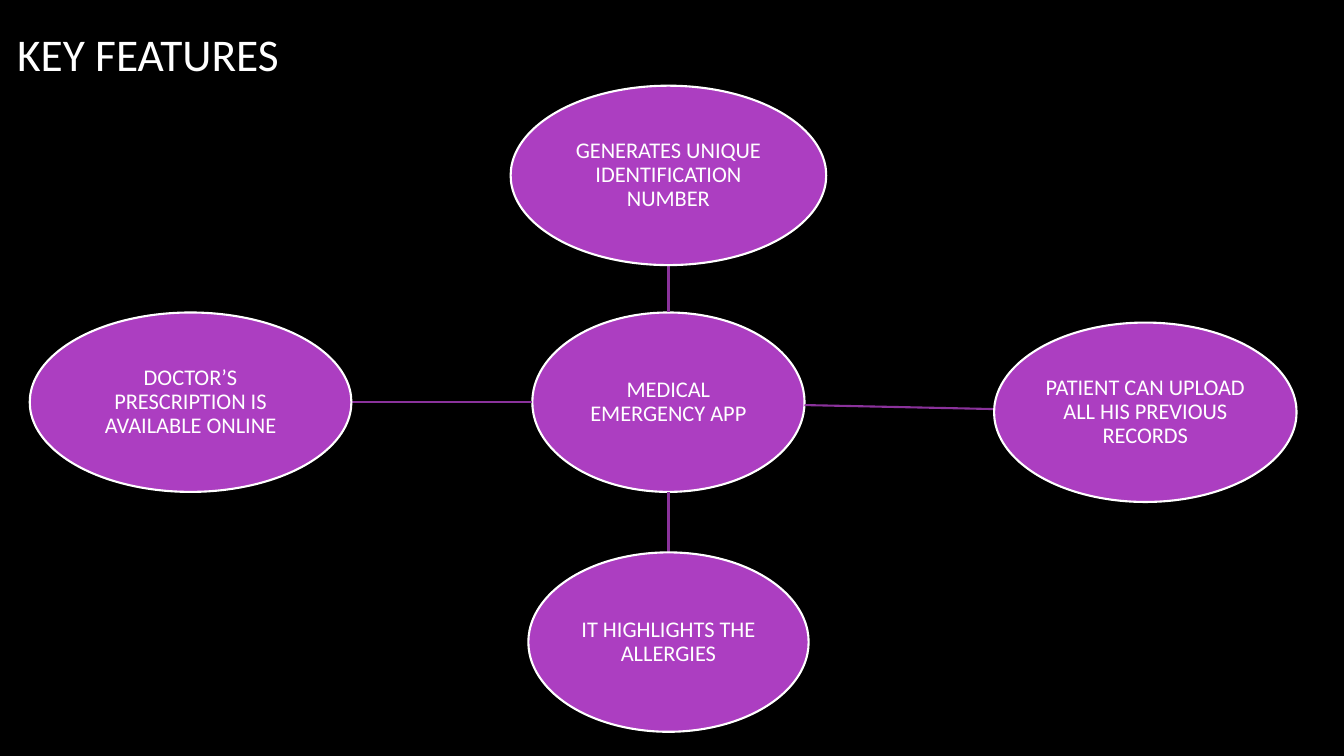
"""Build the key features slide: a hub ellipse linked to four features."""
from math import hypot

from lxml.etree import SubElement
from pptx import Presentation
from pptx.dml.color import RGBColor
from pptx.enum.shapes import MSO_CONNECTOR, MSO_SHAPE
from pptx.enum.text import MSO_ANCHOR, MSO_AUTO_SIZE, PP_ALIGN
from pptx.oxml.ns import qn
from pptx.util import Inches, Pt

TITLE = "KEY FEATURES"
HUB = ("MEDICAL EMERGENCY APP", 6.63, 3.99, 2.7)
FEATURES = [
    ("GENERATES UNIQUE IDENTIFICATION NUMBER", 6.63, 1.74, 3.13),
    ("PATIENT CAN UPLOAD ALL HIS PREVIOUS RECORDS", 11.36, 4.09, 3.0),
    ("IT HIGHLIGHTS THE ALLERGIES", 6.63, 6.37, 2.78),
    ("DOCTOR’S PRESCRIPTION IS AVAILABLE ONLINE", 1.89, 3.99, 3.19),
]
ELLIPSE_HEIGHT = 1.78
FONT = "Calibri"
COLORS = {"background": "000000", "text": "FFFFFF", "ellipse": "AC3EC1",
          "outline": "FFFFFF", "link": "8A329B"}


def color(name):
    return RGBColor.from_string(COLORS[name])


def format_text(frame, size, align):
    frame.word_wrap = True
    frame.auto_size = MSO_AUTO_SIZE.NONE
    frame.vertical_anchor = MSO_ANCHOR.MIDDLE
    paragraph = frame.paragraphs[0]
    paragraph.alignment = align
    paragraph.line_spacing = 0.9
    font = paragraph.runs[0].font
    font.name, font.size = FONT, Pt(size)
    font.color.rgb = color("text")


def add_ellipse(slide, node):
    label, x, y, width = node
    ellipse = slide.shapes.add_shape(
        MSO_SHAPE.OVAL, Inches(x - width / 2), Inches(y - ELLIPSE_HEIGHT / 2),
        Inches(width), Inches(ELLIPSE_HEIGHT))
    ellipse.shadow.inherit = False
    ellipse.fill.solid()
    ellipse.fill.fore_color.rgb = color("ellipse")
    ellipse.line.color.rgb = color("outline")
    ellipse.line.width = Pt(1.5)
    frame = ellipse.text_frame
    frame.text = label
    frame.margin_left = frame.margin_right = Inches(0.01)
    frame.margin_top = frame.margin_bottom = Inches(0.01)
    format_text(frame, 16, PP_ALIGN.CENTER)


def rim_point(node, target):
    """Return where the line from node's centre to target's crosses its rim."""
    _, x, y, width = node
    dx, dy = target[1] - x, target[2] - y
    reach = 1 / hypot(dx / (width / 2), dy / (ELLIPSE_HEIGHT / 2))
    return Inches(x + dx * reach), Inches(y + dy * reach)


def add_link(slide, feature):
    link = slide.shapes.add_connector(
        MSO_CONNECTOR.STRAIGHT, *rim_point(HUB, feature), *rim_point(feature, HUB))
    link.line.color.rgb = color("link")
    link.line.width = Pt(1.5)
    SubElement(link._element.spPr, qn("a:effectLst"))


def main():
    deck = Presentation()
    deck.slide_width, deck.slide_height = Inches(13.33), Inches(7.5)
    slide = deck.slides.add_slide(deck.slide_layouts[5])
    slide.background.fill.solid()
    slide.background.fill.fore_color.rgb = color("background")

    title = slide.shapes.title
    title.left, title.top = Inches(0.07), Inches(0.22)
    title.width, title.height = Inches(3.09), Inches(0.68)
    title.text_frame.text = TITLE
    format_text(title.text_frame, 32.4, PP_ALIGN.LEFT)

    add_ellipse(slide, HUB)
    for feature in FEATURES:
        add_link(slide, feature)
        add_ellipse(slide, feature)
    deck.save("out.pptx")


if __name__ == "__main__":
    main()
